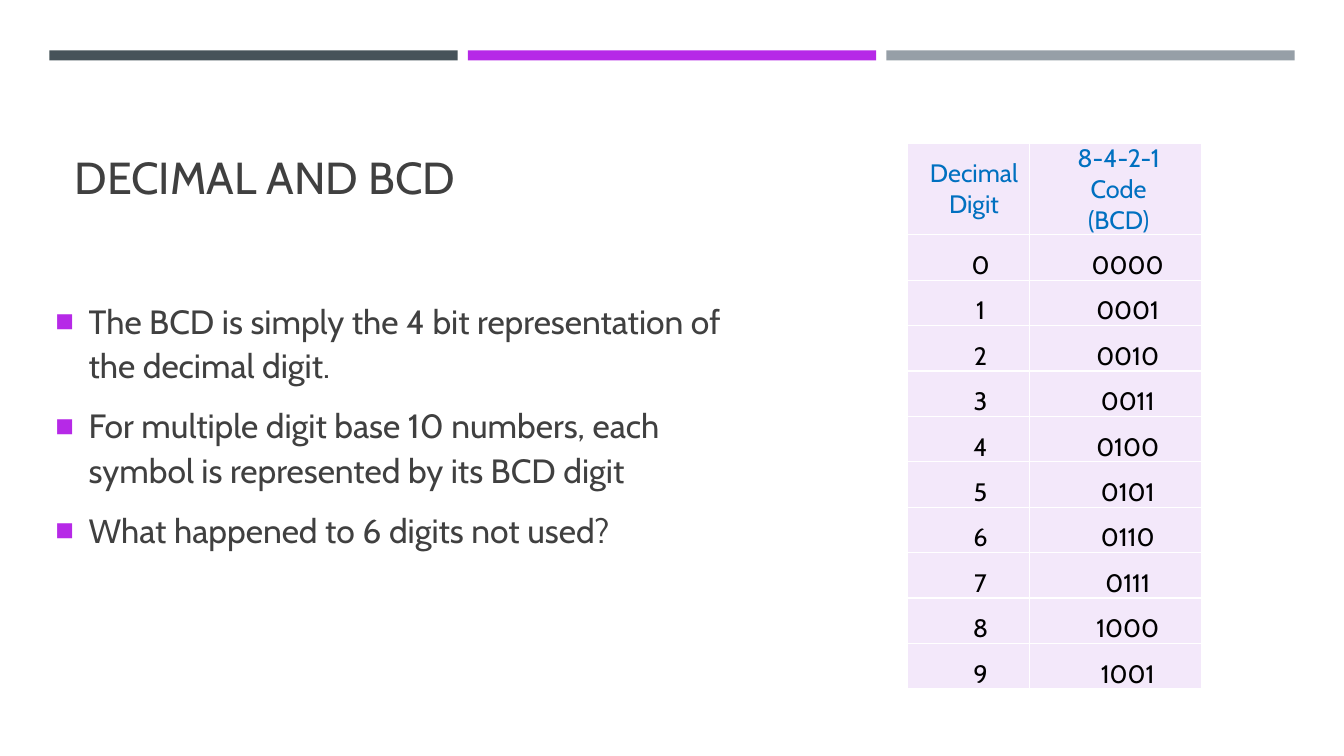
import pptx
import pptx.dml.color
import pptx.enum.shapes
import pptx.enum.text
import pptx.oxml
import pptx.oxml.ns
import pptx.util
from pptx.util import Inches, Pt

FONT = "Cabin"
TEXT_COLOR = "404040"
ACCENT = "B629E7"
TITLE = "DECIMAL AND BCD"
BULLETS = [
    "The BCD is simply the 4 bit representation of the decimal digit.",
    "For multiple digit base 10 numbers, each symbol is represented by its BCD digit",
    "What happened to 6 digits not used?",
]
BAR_COLORS = ["465359", ACCENT, "969FA7"]
BAR_LEFT, BAR_TOP, BAR_WIDTH, BAR_HEIGHT, BAR_STEP = 0.49, 0.5, 4.05, 0.1, 4.15
HEADERS = [(["Decimal", "Digit"], 0.11), (["8-4-2-1", "Code", "(BCD)"], 0.06)]
DIGIT_INDENT = 0.24
DIGITS = [(str(digit), f"{digit:04b}") for digit in range(10)]
COLUMN_WIDTHS = [1.21, 1.71]
HEADER_HEIGHT, ROW_HEIGHT = 0.91, 0.45


def color(hex_code):
    return pptx.dml.color.RGBColor.from_string(hex_code)


def set_font(paragraph, size, hex_code):
    paragraph.font.name = FONT
    paragraph.font.size = Pt(size)
    paragraph.font.color.rgb = color(hex_code)


def add_text_box(slide, left, top, width, height, anchor):
    box = slide.shapes.add_textbox(Inches(left), Inches(top), Inches(width), Inches(height))
    box.text_frame.word_wrap = True
    box.text_frame.vertical_anchor = anchor
    return box.text_frame


def add_xml(parent, xml):
    namespace = pptx.oxml.ns.nsdecls("a")
    parent.append(pptx.oxml.parse_xml(xml.replace(" ", f" {namespace} ", 1)))


def add_bullet(paragraph):
    properties = paragraph._p.get_or_add_pPr()
    properties.set("marL", str(Inches(0.33)))
    properties.set("indent", str(-Inches(0.33)))
    add_xml(properties, f'<a:buClr ><a:srgbClr val="{ACCENT}"/></a:buClr>')
    add_xml(properties, '<a:buSzPct val="92000"/>')
    add_xml(properties, '<a:buFont typeface="Arial"/>')
    add_xml(properties, '<a:buChar char="■"/>')


def fill_cell(cell, lines, indent, hex_code, line_spacing):
    cell.margin_left = cell.margin_right = cell.margin_top = cell.margin_bottom = 0
    cell.vertical_anchor = pptx.enum.text.MSO_ANCHOR.MIDDLE
    cell.text = "\n".join(lines)
    for paragraph in cell.text_frame.paragraphs:
        paragraph.alignment = pptx.enum.text.PP_ALIGN.CENTER
        paragraph.line_spacing = line_spacing
        paragraph._p.get_or_add_pPr().set("marL", str(Inches(indent)))
        set_font(paragraph, 18, hex_code)
    properties = cell._tc.get_or_add_tcPr()
    for side in ("lnL", "lnR", "lnT", "lnB"):
        add_xml(properties, f'<a:{side} w="12700"><a:solidFill><a:srgbClr val="FFFFFF"/>'
                            f'</a:solidFill></a:{side}>')
    cell.fill.solid()
    cell.fill.fore_color.rgb = color("F3E8FA")


presentation = pptx.Presentation()
presentation.slide_width = Inches(13.33)
presentation.slide_height = Inches(7.5)
slide = presentation.slides.add_slide(presentation.slide_layouts[6])

for index, bar_color in enumerate(BAR_COLORS):
    bar = slide.shapes.add_shape(
        pptx.enum.shapes.MSO_SHAPE.RECTANGLE, Inches(BAR_LEFT + index * BAR_STEP),
        Inches(BAR_TOP), Inches(BAR_WIDTH), Inches(BAR_HEIGHT))
    bar.shadow.inherit = False
    bar.fill.solid()
    bar.fill.fore_color.rgb = color(bar_color)
    bar.line.fill.background()

title_frame = add_text_box(slide, 0.64, 0.77, 12.06, 1.3, pptx.enum.text.MSO_ANCHOR.BOTTOM)
title_frame.text = TITLE
set_font(title_frame.paragraphs[0], 32, TEXT_COLOR)

body_frame = add_text_box(slide, 0.45, 2, 6.88, 4.4, pptx.enum.text.MSO_ANCHOR.MIDDLE)
body_frame.text = "\n".join(BULLETS)
for index, paragraph in enumerate(body_frame.paragraphs):
    paragraph.line_spacing = 1.1
    paragraph.space_before = Pt(5.5 if index else 0)
    paragraph.space_after = Pt(6)
    add_bullet(paragraph)
    set_font(paragraph, 24, TEXT_COLOR)

table = slide.shapes.add_table(
    len(DIGITS) + 1, len(COLUMN_WIDTHS), Inches(9), Inches(1.42), Inches(sum(COLUMN_WIDTHS)),
    Inches(HEADER_HEIGHT + ROW_HEIGHT * len(DIGITS))).table
for column, width in zip(table.columns, COLUMN_WIDTHS):
    column.width = Inches(width)
for index, row in enumerate(table.rows):
    row.height = Inches(ROW_HEIGHT if index else HEADER_HEIGHT)
for column_index, (lines, indent) in enumerate(HEADERS):
    fill_cell(table.cell(0, column_index), lines, indent, "0070C0", 1.0)
for row_index, values in enumerate(DIGITS, start=1):
    for column_index, value in enumerate(values):
        fill_cell(table.cell(row_index, column_index), [value], DIGIT_INDENT, "000000", 1.5)

presentation.save("out.pptx")
